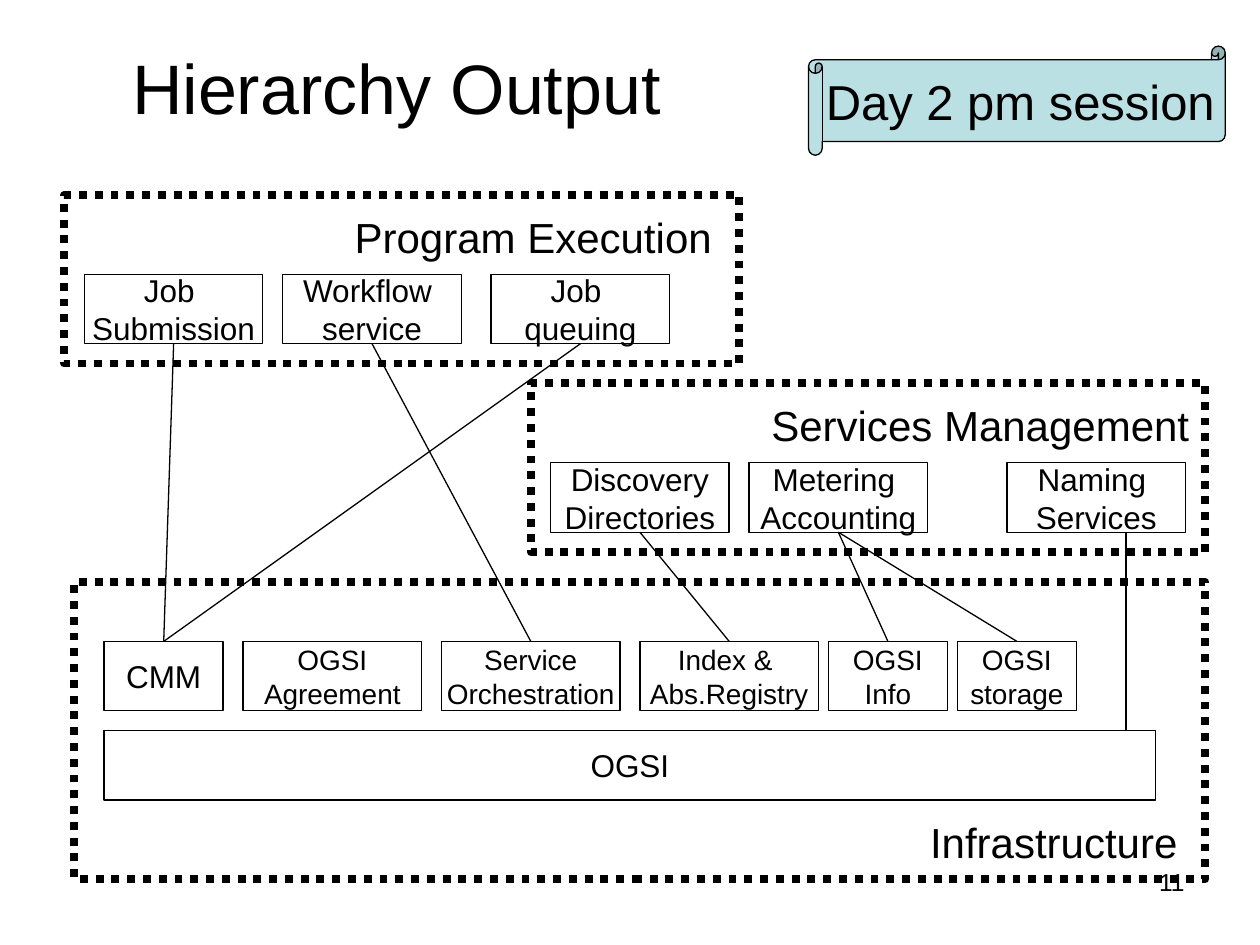
from lxml import etree
from pptx import Presentation
from pptx import util as u
from pptx.dml import color
from pptx.enum import dml, shapes, text
from pptx.oxml import ns

COLORS = {"ink": "000000", "box": "FFFFFF", "scroll": "BBE0E3"}
FONT = "Arial"
WIDE, NARROW, HEIGHT = 3.6, 2.4, 1.4


def rgb(name):
    return color.RGBColor.from_string(COLORS[name])


def write(shape, lines, size, align, anchor, wrap=False):
    frame = shape.text_frame
    frame.text = "\n".join(lines)
    frame.word_wrap = wrap
    frame.vertical_anchor = anchor
    for paragraph in frame.paragraphs:
        paragraph.alignment = align
        for run in paragraph.runs:
            run.font.name = FONT
            run.font.size = u.Pt(size)
            run.font.color.rgb = rgb("ink")


def add_text(slide, box, line, size, align=text.PP_ALIGN.LEFT,
             anchor=text.MSO_ANCHOR.TOP, wrap=False):
    textbox = slide.shapes.add_textbox(*map(u.Cm, box))
    write(textbox, [line], size, align, anchor, wrap)
    if not wrap:
        textbox.text_frame.auto_size = text.MSO_AUTO_SIZE.SHAPE_TO_FIT_TEXT


def add_box(slide, box, lines, size, preset=shapes.MSO_SHAPE.RECTANGLE, fill="box"):
    shape = slide.shapes.add_shape(preset, *map(u.Cm, box))
    shape.shadow.inherit = False
    shape.fill.solid()
    shape.fill.fore_color.rgb = rgb(fill)
    shape.line.color.rgb = rgb("ink")
    shape.line.width = u.Pt(0.75)
    write(shape, lines, size, text.PP_ALIGN.CENTER, text.MSO_ANCHOR.MIDDLE)
    return shape


def add_frame(slide, box):
    frame = slide.shapes.add_shape(shapes.MSO_SHAPE.RECTANGLE, *map(u.Cm, box))
    frame.shadow.inherit = False
    frame.fill.background()
    frame.line.color.rgb = rgb("ink")
    frame.line.width = u.Pt(4.5)
    frame.line.dash_style = dml.MSO_LINE.ROUND_DOT


def add_line(slide, start, end):
    connector = slide.shapes.add_connector(shapes.MSO_CONNECTOR.STRAIGHT, *start, *end)
    connector.line.color.rgb = rgb("ink")
    connector.line.width = u.Pt(0.75)
    etree.SubElement(connector._element.spPr, ns.qn("a:effectLst"))
    return connector


def link(slide, upper, lower):
    connector = add_line(slide, (0, 0), (0, 0))
    connector.begin_connect(upper, 2)
    connector.end_connect(lower, 0)


def add_heading(slide):
    add_text(slide, (1.27, 0.76, 13.44, 1.96), "Hierarchy Output", 40,
             text.PP_ALIGN.CENTER, text.MSO_ANCHOR.MIDDLE, True)
    add_box(slide, (16.3, 0.93, 8.4, 2.2), ["Day 2 pm session"], 28,
            shapes.MSO_SHAPE.HORIZONTAL_SCROLL, "scroll")


def add_service_panel(slide, box, title, title_left, title_width, services):
    left, top = box[:2]
    add_frame(slide, box)
    add_text(slide, (left + title_left, top + 0.2, title_width, 1.27), title, 24)
    return [add_box(slide, (left + offset, top + 1.6, WIDE, HEIGHT), lines, 18)
            for offset, lines in services]


def add_infrastructure(slide, box):
    left, top = box[:2]
    components = [
        (0.6, NARROW, 18, ["CMM"]),
        (3.4, WIDE, 16, ["OGSI", "Agreement"]),
        (7.4, WIDE, 16, ["Service", "Orchestration"]),
        (11.4, WIDE, 16, ["Index & ", "Abs.Registry"]),
        (15.2, NARROW, 16, ["OGSI", "Info"]),
        (17.8, NARROW, 16, ["OGSI", "storage"]),
    ]
    add_frame(slide, box)
    base = add_box(slide, (left + 0.6, top + 3, 21.2, HEIGHT), ["OGSI"], 18)
    add_text(slide, (left + 17, top + 4.6, 5.5, 1.27), "Infrastructure", 24)
    row = [add_box(slide, (left + offset, top + 1.2, width, HEIGHT), lines, size)
           for offset, width, size, lines in components]
    return base, row


def main():
    presentation = Presentation()
    presentation.slide_width = u.Cm(25.4)
    presentation.slide_height = u.Cm(19.05)
    slide = presentation.slides.add_slide(presentation.slide_layouts[6])

    add_heading(slide)
    base, (cmm, _, orchestration, index, info, storage) = add_infrastructure(
        slide, (1.5, 11.73, 22.8, 6))
    submission, workflow, queuing = add_service_panel(
        slide, (1.3, 3.93, 13.6, 3.4), "Program Execution", 5.6, 7.75,
        [(0.4, ["Job ", "Submission"]), (4.4, ["Workflow ", "service"]),
         (8.6, ["Job ", "queuing"])])
    discovery, metering, naming = add_service_panel(
        slide, (10.7, 7.73, 13.6, 3.4), "Services Management", 4.6, 9,
        [(0.4, ["Discovery", "Directories"]), (4.4, ["Metering ", "Accounting"]),
         (9.6, ["Naming ", "Services"])])

    for upper, lower in [(submission, cmm), (queuing, cmm), (workflow, orchestration),
                         (discovery, index), (metering, info), (metering, storage)]:
        link(slide, upper, lower)
    naming_x = naming.left + u.Cm(2.4)
    add_line(slide, (naming_x, naming.top + naming.height), (naming_x, base.top))
    add_text(slide, (18.2, 17.35, 5.93, 1.32), "11", 14, text.PP_ALIGN.RIGHT, wrap=True)

    presentation.save("out.pptx")


if __name__ == "__main__":
    main()
